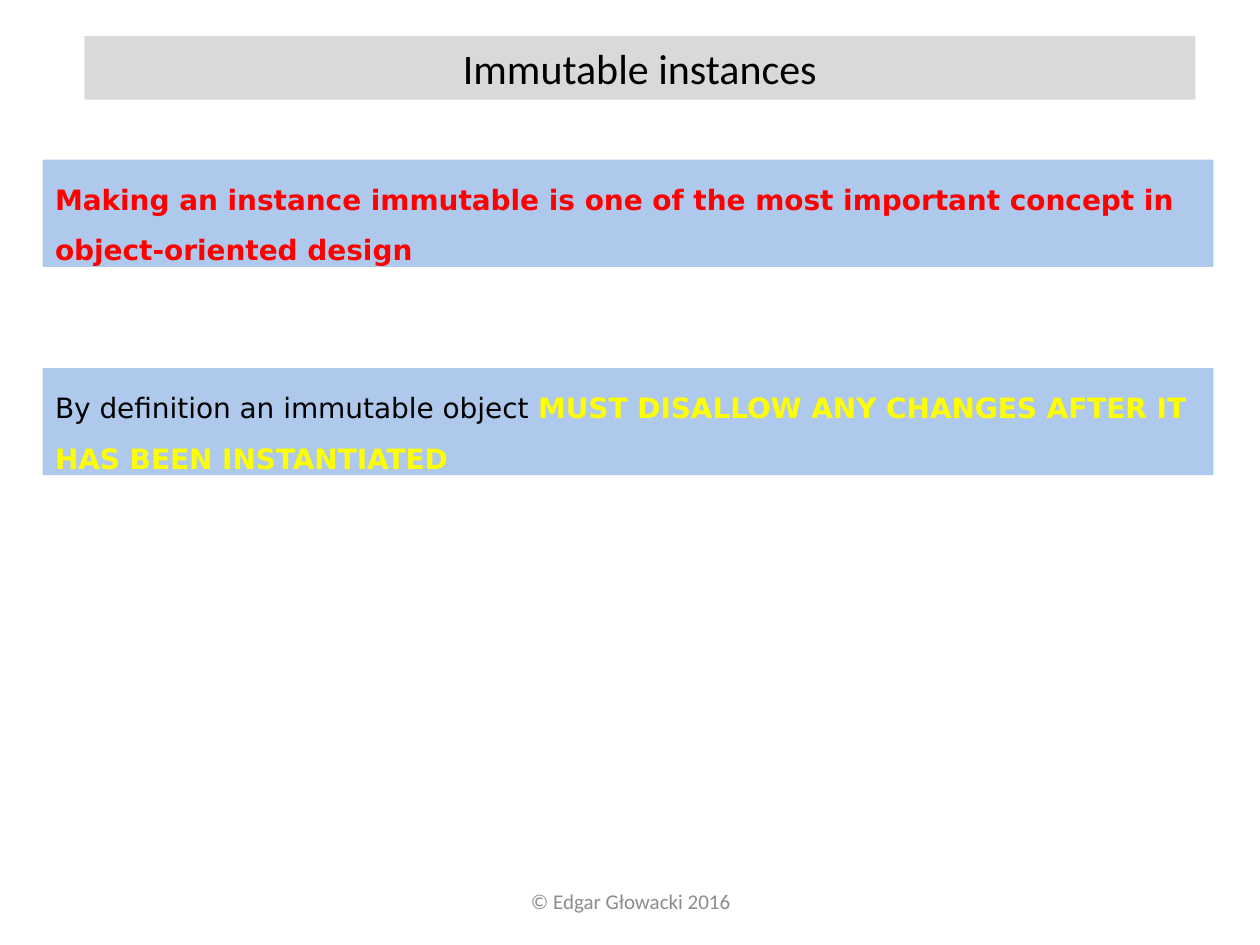
from dataclasses import dataclass
from typing import Any

from lxml.etree import SubElement
from pptx import Presentation
from pptx.dml.color import RGBColor
from pptx.enum.text import MSO_ANCHOR as Anchor, MSO_AUTO_SIZE as AutoSize, PP_ALIGN as Align
from pptx.oxml.ns import qn
from pptx.util import Cm, Pt


@dataclass(frozen=True)
class Span:
    text: str
    color: str
    bold: bool = False


@dataclass(frozen=True)
class Panel:
    left: float
    top: float
    width: float
    height: float
    spans: tuple[Span, ...]
    font: str
    size: int
    align: Align = Align.LEFT
    anchor: Anchor = Anchor.TOP
    auto_size: AutoSize = AutoSize.SHAPE_TO_FIT_TEXT
    line_spacing: float = 1.0
    fill: str | None = None
    opacity: int = 100


def apply_format(target: Any, values: dict[str, Any]) -> None:
    for attribute, value in values.items():
        setattr(target, attribute, value)


def set_color(color_format: Any, hex_color: str) -> None:
    color_format.rgb = RGBColor.from_string(hex_color)


def fill_panel(box: Any, hex_color: str, opacity: int) -> None:
    """Fill the box; opacity is a percentage."""
    box.fill.solid()
    set_color(box.fill.fore_color, hex_color)
    if opacity < 100:
        color = box._element.spPr.find(f".//{qn('a:srgbClr')}")
        SubElement(color, qn("a:alpha"), val=str(opacity * 1000))


def draw_panel(slide: Any, panel: Panel) -> None:
    box = slide.shapes.add_textbox(
        Cm(panel.left), Cm(panel.top), Cm(panel.width), Cm(panel.height))
    if panel.fill:
        fill_panel(box, panel.fill, panel.opacity)
    frame = box.text_frame
    apply_format(frame, {"word_wrap": True, "auto_size": panel.auto_size,
                         "vertical_anchor": panel.anchor})
    paragraph = frame.paragraphs[0]
    apply_format(paragraph, {"alignment": panel.align,
                             "line_spacing": panel.line_spacing})
    for span in panel.spans:
        run = paragraph.add_run()
        run.text = span.text
        apply_format(run.font, {"name": panel.font, "size": Pt(panel.size),
                                "bold": span.bold})
        set_color(run.font.color, span.color)


def statement(top: float, *spans: Span) -> Panel:
    return Panel(0.86, top, 23.6, 2.16, spans, "DejaVu Sans", 16,
                 line_spacing=1.5, fill="8EB4E3", opacity=71)


FOOTER = Panel(8.69, 17.65, 8.05, 1.02, (Span("© Edgar Głowacki 2016", "8C8C8C"),),
               "Calibri", 12, Align.CENTER, Anchor.MIDDLE, AutoSize.NONE)
TITLE = Panel(1.7, 0.73, 22.4, 1.28, (Span("Immutable instances", "000000"),),
              "Calibri", 24, Align.CENTER, fill="D9D9D9")
IMPORTANCE = statement(
    3.22,
    Span("Making an instance immutable is one of the most important concept in "
         "object-oriented design", "FF0000", bold=True))
DEFINITION = statement(
    7.42,
    Span("By definition an immutable object ", "000000"),
    Span("MUST DISALLOW ANY CHANGES AFTER IT HAS BEEN INSTANTIATED", "FFFF00", bold=True))


def main() -> None:
    deck = Presentation()
    apply_format(deck, {"slide_width": Cm(25.4), "slide_height": Cm(19.05)})
    slide = deck.slides.add_slide(deck.slide_layouts[6])
    for panel in (FOOTER, TITLE, IMPORTANCE, DEFINITION):
        draw_panel(slide, panel)
    deck.save("out.pptx")


if __name__ == "__main__":
    main()
